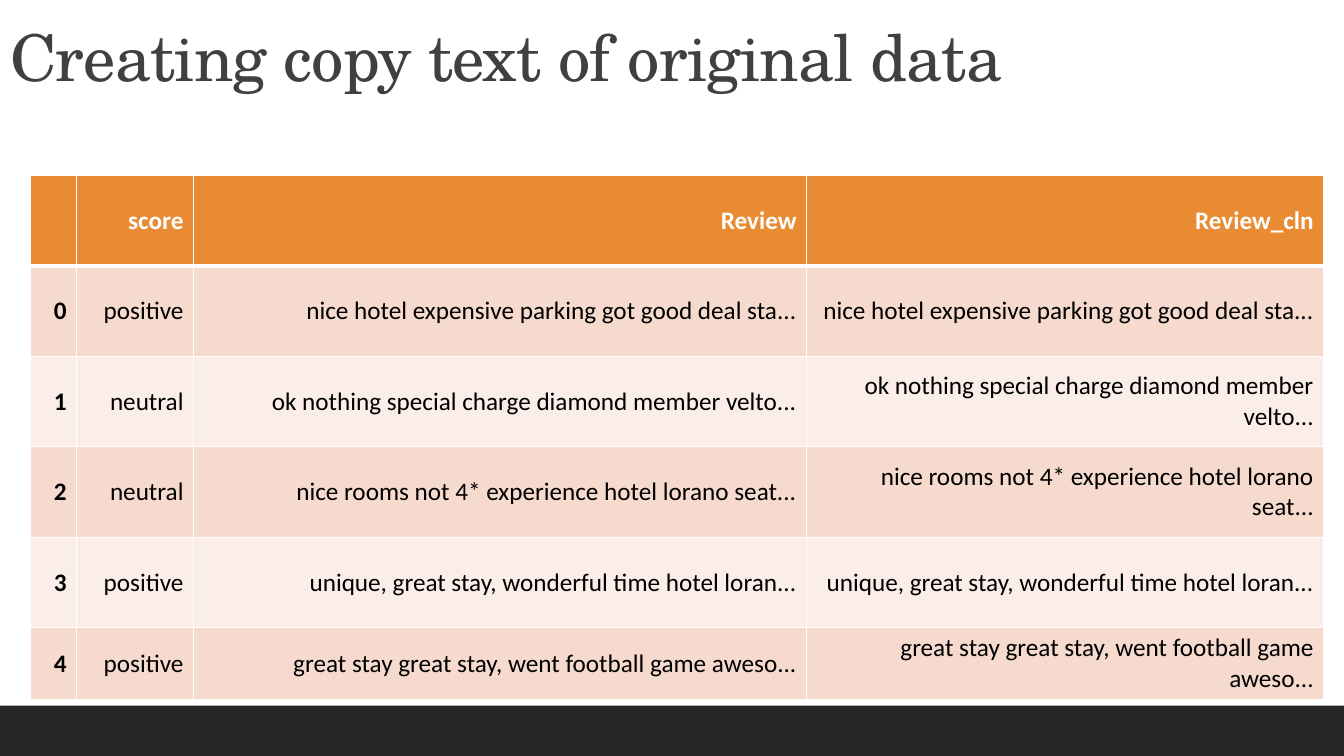
from pptx import Presentation
from pptx.dml.color import RGBColor
from pptx.enum.shapes import MSO_SHAPE
from pptx.enum.text import MSO_ANCHOR, MSO_AUTO_SIZE, PP_ALIGN
from pptx.oxml import parse_xml
from pptx.oxml.ns import nsdecls
from pptx.util import Cm, Pt

TITLE = "Creating copy text of original data"
HEAD = ["", "score", "Review", "Review_cln"]
REVIEWS = [
    ("positive", "nice hotel expensive parking got good deal sta..."),
    ("neutral", "ok nothing special charge diamond member velto..."),
    ("neutral", "nice rooms not 4* experience hotel lorano seat..."),
    ("positive", "unique, great stay, wonderful time hotel loran..."),
    ("positive", "great stay great stay, went football game aweso..."),
]

WHITE = RGBColor(0xFF, 0xFF, 0xFF)
BLACK = RGBColor(0, 0, 0)
GREY = RGBColor(0x40, 0x40, 0x40)
DARK = RGBColor(0x26, 0x26, 0x26)
ORANGE = RGBColor(0xE8, 0x8B, 0x33)
BANDS = [RGBColor(0xFB, 0xEE, 0xE8), RGBColor(0xF6, 0xDA, 0xCE)]

WIDE, HIGH, BAR = 33.87, 19.05, 1.27
LEFT, TOP = 0.77, 4.42
COLS = [1.16, 2.95, 15.45, 13.03]
ROWS = [2.28] * len(REVIEWS) + [1.78]


def style(font, color, **form):
    for key, value in form.items():
        setattr(font, key, value)
    font.color.rgb = color


def border(cell, edges):
    """Draw white cell edges; edges maps a side letter to points."""
    props = cell._tc.get_or_add_tcPr()
    for side in "LRTB":
        props.append(parse_xml(
            f'<a:ln{side} {nsdecls("a")} w="{Pt(edges[side])}">'
            f'<a:solidFill><a:srgbClr val="{WHITE}"/></a:solidFill></a:ln{side}>'))


def add_title(slide):
    title = slide.shapes.title
    box = {"left": Cm(0), "top": Cm(0), "width": Cm(28.37), "height": Cm(2.54)}
    for key, value in box.items():
        setattr(title, key, value)
    frame = title.text_frame
    frame.text = TITLE
    frame.word_wrap = True
    frame.auto_size = MSO_AUTO_SIZE.NONE
    frame.vertical_anchor = MSO_ANCHOR.BOTTOM
    para = frame.paragraphs[0]
    para.alignment = PP_ALIGN.LEFT
    para.line_spacing = 0.9
    font = para.runs[0].font
    style(font, GREY, name="TeX Gyre Schola", size=Pt(46))
    font._element.set("spc", "-50")


def add_bar(slide):
    bar = slide.shapes.add_shape(
        MSO_SHAPE.RECTANGLE, Cm(0), Cm(HIGH - BAR), Cm(WIDE), Cm(BAR))
    bar.shadow.inherit = False
    bar.fill.solid()
    bar.fill.fore_color.rgb = DARK
    bar.line.fill.background()


def fill_cell(cell, text, row, col):
    border(cell, {"L": 1, "R": 1, "T": 3 if row == 1 else 1,
                  "B": 3 if row == 0 else 1})
    cell.fill.solid()
    cell.fill.fore_color.rgb = BANDS[row % 2] if row else ORANGE
    cell.vertical_anchor = MSO_ANCHOR.MIDDLE
    cell.text = text
    para = cell.text_frame.paragraphs[0]
    para.alignment = PP_ALIGN.RIGHT
    for run in para.runs:
        style(run.font, BLACK if row else WHITE, name="Calibri",
              size=Pt(18), bold=row == 0 or col == 0)


def add_grid(slide):
    data = [HEAD] + [[str(i), score, text, text]
                     for i, (score, text) in enumerate(REVIEWS)]
    table = slide.shapes.add_table(
        len(ROWS), len(COLS), Cm(LEFT), Cm(TOP),
        Cm(sum(COLS)), Cm(sum(ROWS))).table
    for col, width in zip(table.columns, COLS):
        col.width = Cm(width)
    for row, height in zip(table.rows, ROWS):
        row.height = Cm(height)
    for r, line in enumerate(data):
        for c, text in enumerate(line):
            fill_cell(table.cell(r, c), text, r, c)


def main():
    deck = Presentation()
    deck.slide_width, deck.slide_height = Cm(WIDE), Cm(HIGH)
    slide = deck.slides.add_slide(deck.slide_layouts[5])
    add_bar(slide)
    add_title(slide)
    add_grid(slide)
    deck.save("out.pptx")


if __name__ == "__main__":
    main()
